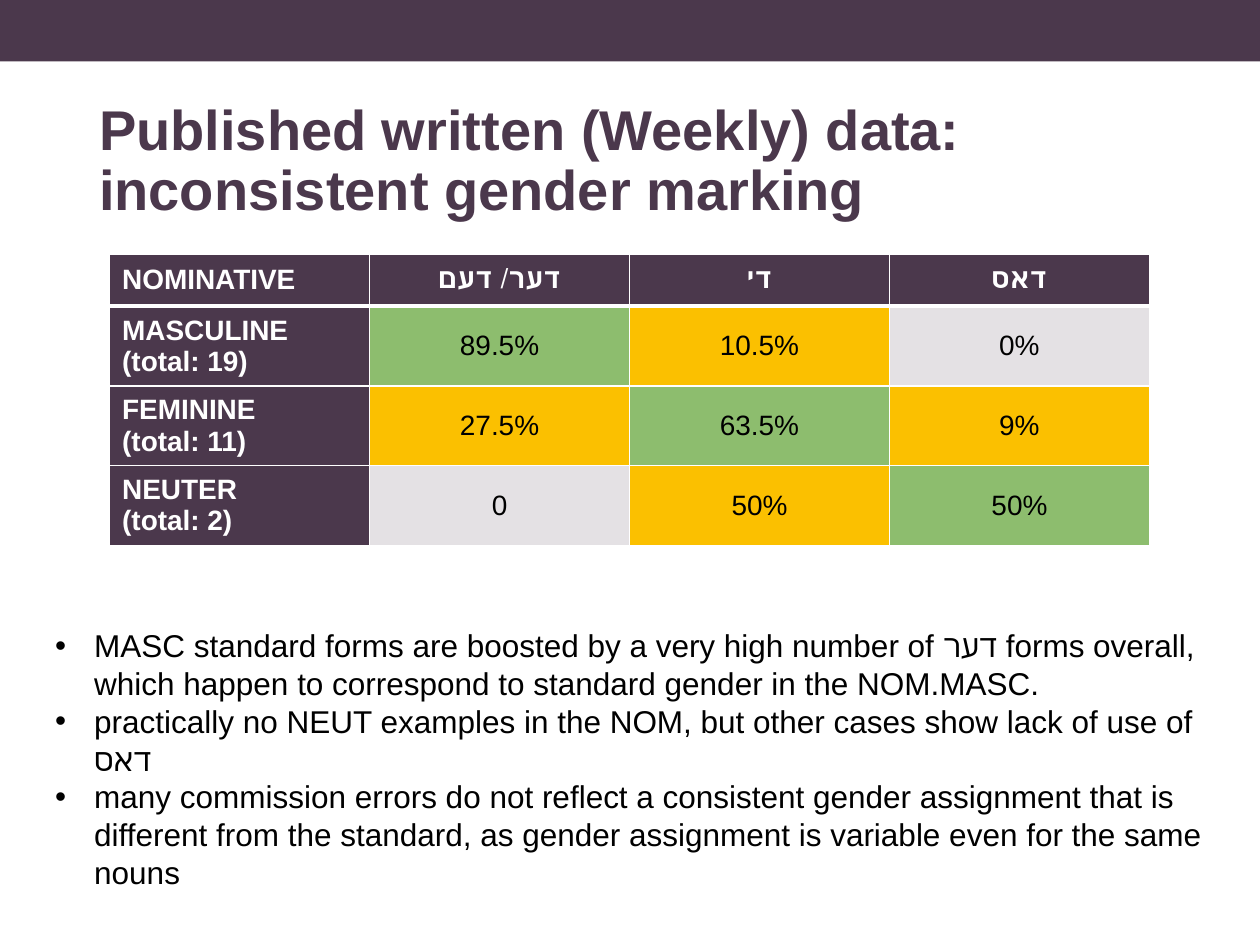
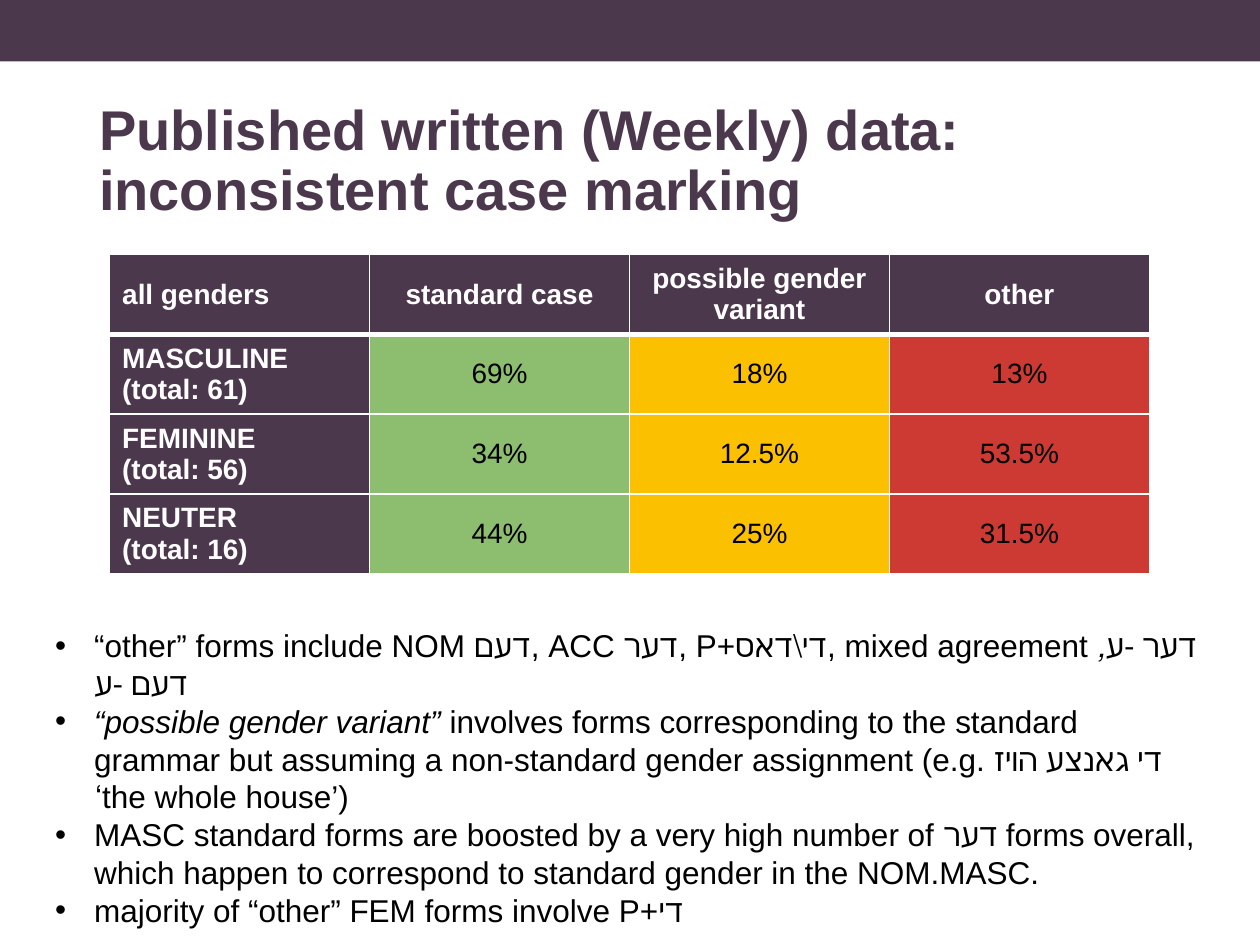
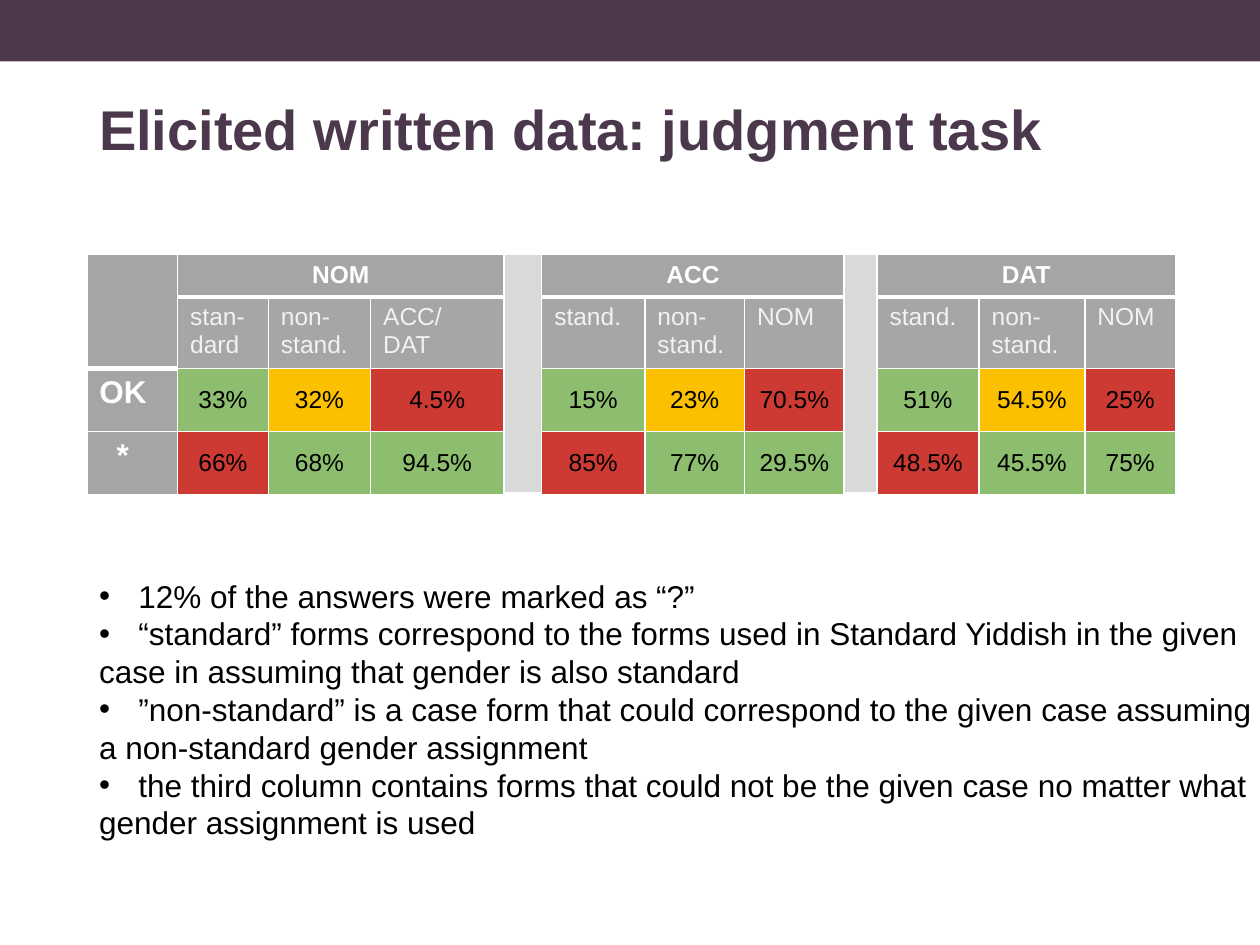
from lxml.etree import SubElement
from pptx import Presentation
from pptx.dml.color import RGBColor
from pptx.enum.shapes import MSO_SHAPE
from pptx.enum.text import MSO_ANCHOR, PP_ALIGN
from pptx.oxml.ns import qn
from pptx.util import Cm, Pt

PLUM, WHITE, BLACK, GREY = "4B384C", "FFFFFF", "000000", "A5A5A5"
LEFT, MID = PP_ALIGN.LEFT, PP_ALIGN.CENTER
HIGH, HALF = MSO_ANCHOR.TOP, MSO_ANCHOR.MIDDLE

KINDS = {
    "h": (PLUM, WHITE, 16, True, MID, HALF),
    "l": (PLUM, WHITE, 16, True, LEFT, HALF),
    "n": (GREY, WHITE, 14, True, MID, HIGH),
    "s": ("A6A6A6", "F2F2F2", 14, False, LEFT, HIGH),
    "k": (GREY, WHITE, 18, True, LEFT, HIGH),
    "x": ("D9D9D9", BLACK, 14, False, LEFT, HIGH),
    "g": ("8DBD6E", BLACK, None, False, MID, HALF),
    "a": ("FBC000", BLACK, None, False, MID, HALF),
    "r": ("CD3A34", BLACK, None, False, MID, HALF),
    "z": ("E4E1E4", BLACK, None, False, MID, HALF),
}


def tint(code):
    return RGBColor.from_string(code)


class Deck:
    font = "Arial"

    def __init__(self):
        self.prs = Presentation()
        self.prs.slide_width, self.prs.slide_height = Cm(25.4), Cm(19.05)
        self.slide = None

    def style(self, par, size, color, bold=False):
        for run in par.runs:
            run.font.name, run.font.size = self.font, Pt(size)
            run.font.bold, run.font.color.rgb = bold, tint(color)

    def start(self, title):
        self.slide = self.prs.slides.add_slide(self.prs.slide_layouts[6])
        band = self.slide.shapes.add_shape(
            MSO_SHAPE.RECTANGLE, 0, 0, self.prs.slide_width, Cm(1.24))
        band.shadow.inherit = False
        band.fill.solid()
        band.fill.fore_color.rgb = tint(PLUM)
        band.line.fill.background()
        par = self.frame(1.75, 1.93, 21.9, 1.68).paragraphs[0]
        par.text = title
        par.line_spacing = 0.9
        self.style(par, 32, PLUM, True)

    def frame(self, *box):
        frame = self.slide.shapes.add_textbox(*map(Cm, box)).text_frame
        frame.word_wrap = True
        return frame

    def notes(self, box, items, mark="•"):
        frame = self.frame(*box)
        for num, item in enumerate(items):
            par = frame.add_paragraph() if num else frame.paragraphs[0]
            if item.startswith(mark):
                self.bullet(par, mark)
            for odd, part in enumerate(item.removeprefix(mark).split("_")):
                if part:
                    run = par.add_run()
                    run.text = part
                    run.font.italic = odd % 2 == 1
            self.style(par, 18, BLACK)

    def bullet(self, par, mark):
        props = par._p.get_or_add_pPr()
        props.set("marL", str(Cm(0.79)))
        props.set("indent", str(-Cm(0.79)))
        SubElement(props, qn("a:buFont"), typeface=self.font)
        SubElement(props, qn("a:buChar"), char=mark)

    def edge(self, cell, row):
        props = cell._tc.get_or_add_tcPr()
        for side in "LRTB":
            thick = 3 if (row, side) in ((0, "B"), (1, "T")) else 1
            line = SubElement(props, qn("a:ln" + side), w=str(Pt(thick)))
            fill = SubElement(line, qn("a:solidFill"))
            SubElement(fill, qn("a:srgbClr"), val=WHITE)

    def table(self, spot, wide, high, kinds, rows, size=16, spans=()):
        grid = self.slide.shapes.add_table(
            len(high), len(wide), *map(Cm, (*spot, sum(wide), sum(high)))).table
        for col, width in zip(grid.columns, wide):
            col.width = Cm(width)
        for num, (row, height) in enumerate(zip(grid.rows, high)):
            row.height = Cm(height)
            for cell, kind, text in zip(row.cells, kinds[num], rows[num]):
                self.cell(cell, num, kind, text, size)
        for top, left, low, right in spans:
            grid.cell(top, left).merge(grid.cell(low, right))
        return grid

    def cell(self, cell, row, kind, text, size):
        back, color, own, bold, align, anchor = KINDS[kind]
        self.edge(cell, row)
        cell.fill.solid()
        cell.fill.fore_color.rgb = tint(back)
        cell.vertical_anchor = anchor
        cell.text_frame.text = text
        for par in cell.text_frame.paragraphs:
            par.alignment = align
            self.style(par, own or size, color, bold)


def main():
    deck = Deck()
    spot, wide = (2.21, 5.13), [5.24] * 4
    body = (0.86, 12.5, 23.67, 6.4)
    boost = ("•MASC standard forms are boosted by a very high number of דער forms "
             "overall, which happen to correspond to standard gender in the NOM.MASC.")

    deck.start("Published written (Weekly) data: inconsistent gender marking")
    deck.table(spot, wide, [1.04] + [1.5] * 3, ["lhhh", "lgaz", "laga", "lzag"], [
        ["NOMINATIVE", "דער/ דעם", "די", "דאס"],
        ["MASCULINE\n(total: 19)", "89.5%", "10.5%", "0%"],
        ["FEMININE\n(total: 11)", "27.5%", "63.5%", "9%"],
        ["NEUTER\n(total: 2)", "0", "50%", "50%"],
    ])
    deck.notes(body, [
        boost,
        "•practically no NEUT examples in the NOM, but other cases show lack of "
        "use of דאס",
        "•many commission errors do not reflect a consistent gender assignment "
        "that is different from the standard, as gender assignment is variable "
        "even for the same nouns",
    ])

    deck.start("Published written (Weekly) data: inconsistent case marking")
    deck.table(spot, wide, [1.5] * 4, ["lhhh"] + ["lgar"] * 3, [
        ["all genders", "standard case", "possible gender variant", "other"],
        ["MASCULINE\n(total: 61)", "69%", "18%", "13%"],
        ["FEMININE\n(total: 56)", "34%", "12.5%", "53.5%"],
        ["NEUTER\n(total: 16)", "44%", "25%", "31.5%"],
    ])
    deck.notes(body, [
        r"•“other” forms include NOM דעם, ACC דער, P+די\דאס, mixed agreement "
        "דער -ע_, _דעם -ע",
        "•_“possible gender variant” _involves forms corresponding to the standard "
        "grammar but assuming a non-standard gender assignment "
        "(e.g. די גאנצע הויז ‘the whole house’)",
        boost,
        "•majority of “other” FEM forms involve P+די",
    ])

    deck.start("Elicited written data: judgment task")
    cols = [1.83, 1.83, 2.06, 2.69, 0.76, 2.08, 2.01, 2.01, 0.66, 2.06, 2.13, 1.83]
    grid = deck.table(
        (1.75, 5.13), cols, [0.86, 1.37, 1.27, 1.27],
        ["nnnnxnnnxnnn", "nsssxsssxsss", "kgarxgarxgar", "krggxrggxrgg"], [
            ["", "NOM", "", "", "", "ACC", "", "", "", "DAT", "", ""],
            ["", "stan-dard", "non-stand.", "ACC/ DAT", "",
             "stand.", "non-stand.", "NOM", "", "stand.", "non-stand.", "NOM"],
            ["OK", "33%", "32%", "4.5%", "", "15%", "23%", "70.5%", "",
             "51%", "54.5%", "25%"],
            ["*", "66%", "68%", "94.5%", "", "85%", "77%", "29.5%", "",
             "48.5%", "45.5%", "75%"],
        ], 14, [(0, 0, 1, 0), (0, 1, 0, 3), (0, 4, 3, 4), (0, 5, 0, 7),
                (0, 8, 3, 8), (0, 9, 0, 11)])
    grid.cell(3, 0).margin_left = Cm(0.6)
    deck.notes((1.75, 11.5, 24.15, 5.64), [
        "•12% of the answers were marked as “?”",
        "•“standard” forms correspond to the forms used in Standard Yiddish in the given",
        "case in assuming that gender is also standard",
        "•”non-standard” is a case form that could correspond to the given case assuming",
        "a non-standard gender assignment",
        "•the third column contains forms that could not be the given case no matter what",
        "gender assignment is used",
    ])
    deck.prs.save("out.pptx")


if __name__ == "__main__":
    main()
